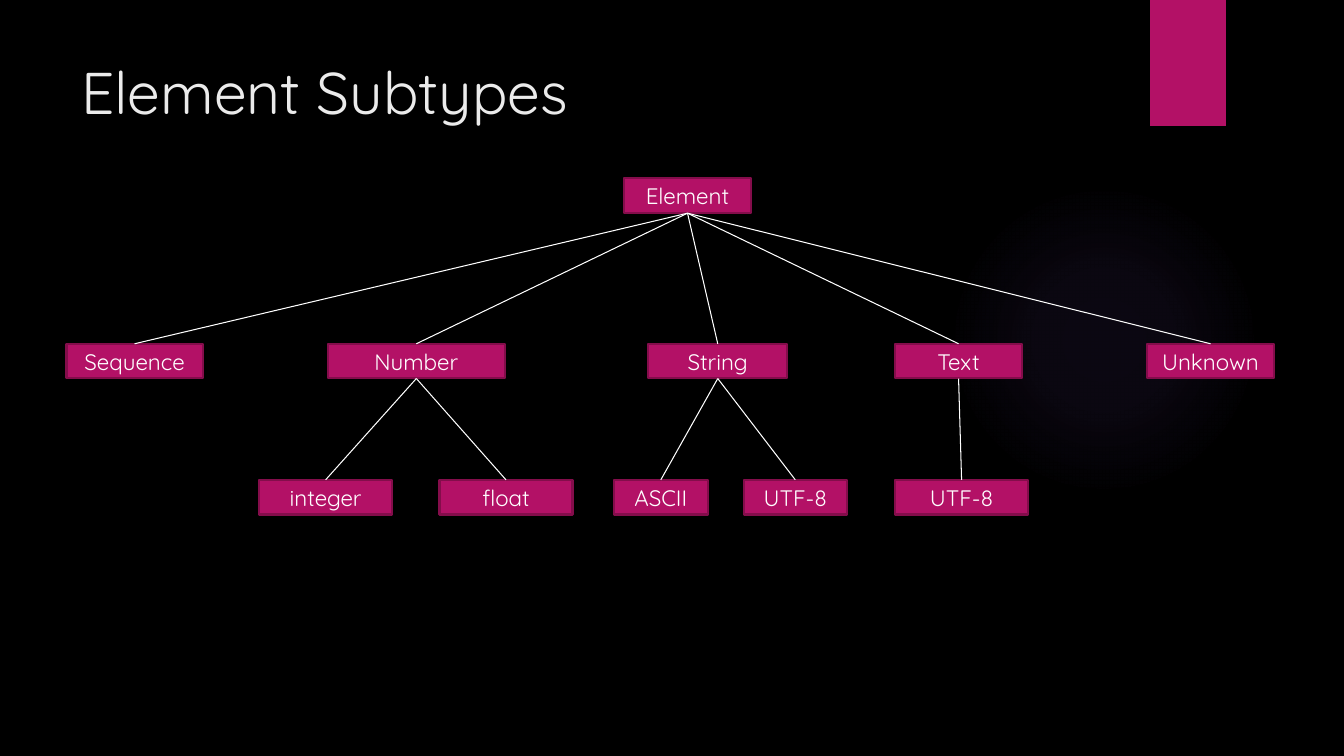
import dataclasses

import pptx
import pptx.dml.color
import pptx.enum.shapes
import pptx.enum.text
import pptx.oxml
import pptx.oxml.ns
import pptx.shapes.autoshape
import pptx.slide
import pptx.text.text
import pptx.util

SLIDE_WIDTH = pptx.util.Inches(13.333)
SLIDE_HEIGHT = pptx.util.Inches(7.5)
FONT = "Quicksand"
BLACK, WHITE, TITLE_GREY = "000000", "FFFFFF", "EBEBEB"
MAGENTA, DARK_MAGENTA, VIOLET = "B31166", "840D4B", "9B6BF2"
GLOW_STOPS = ((0, 7), (36, 6), (69, 0))
LEVEL_TOPS = (23.6, 45.47, 63.47)
NODE_HEIGHT = 4.6


@dataclasses.dataclass(frozen=True)
class Area:
    """Left, top, width and height as percentages of the slide."""

    left: float
    top: float
    width: float
    height: float

    def lengths(self) -> tuple[int, int, int, int]:
        return (
            int(SLIDE_WIDTH * self.left / 100),
            int(SLIDE_HEIGHT * self.top / 100),
            int(SLIDE_WIDTH * self.width / 100),
            int(SLIDE_HEIGHT * self.height / 100),
        )


@dataclasses.dataclass(frozen=True)
class Node:
    label: str
    left: float
    width: float
    children: tuple["Node", ...] = ()


ELEMENT_TREE = Node("Element", 46.43, 9.45, (
    Node("Sequence", 4.95, 10.13),
    Node("Number", 24.38, 13.2, (
        Node("integer", 19.28, 9.9),
        Node("float", 32.7, 9.9),
    )),
    Node("String", 48.23, 10.35, (
        Node("ASCII", 45.68, 6.98),
        Node("UTF-8", 55.35, 7.65),
    )),
    Node("Text", 66.6, 9.45, (
        Node("UTF-8", 66.6, 9.9),
    )),
    Node("Unknown", 85.35, 9.45),
))

Shape = pptx.shapes.autoshape.Shape
Link = tuple[Shape, Shape]


def color(value: str) -> pptx.dml.color.RGBColor:
    return pptx.dml.color.RGBColor.from_string(value)


def add_span(para: pptx.text.text._Paragraph, text: str, size: float, shade: str) -> None:
    span = para.add_run()
    span.text = text
    span.font.name = FONT
    span.font.size = pptx.util.Pt(size)
    span.font.color.rgb = color(shade)


def add_block(page: pptx.slide.Slide, kind: pptx.enum.shapes.MSO_SHAPE, area: Area) -> Shape:
    block = page.shapes.add_shape(kind, *area.lengths())
    block.shadow.inherit = False
    block.fill.solid()
    block.fill.fore_color.rgb = color(MAGENTA)
    block.line.fill.background()
    return block


def add_glow(page: pptx.slide.Slide, area: Area) -> None:
    glow = add_block(page, pptx.enum.shapes.MSO_SHAPE.OVAL, area)
    stops = "".join(
        f'<a:gs pos="{place * 1000}"><a:srgbClr val="{VIOLET}">'
        f'<a:alpha val="{opacity * 1000}"/></a:srgbClr></a:gs>'
        for place, opacity in GLOW_STOPS
    )
    gradient = pptx.oxml.parse_xml(
        f'<a:gradFill {pptx.oxml.ns.nsdecls("a")}><a:gsLst>{stops}</a:gsLst>'
        '<a:path path="circle"><a:fillToRect l="50000" t="50000" r="50000" b="50000"/>'
        "</a:path></a:gradFill>"
    )
    properties = glow.element.spPr
    properties.replace(properties.find(pptx.oxml.ns.qn("a:solidFill")), gradient)


def add_title(page: pptx.slide.Slide, text: str, area: Area) -> None:
    box = page.shapes.add_textbox(*area.lengths())
    box.text_frame.word_wrap = True
    add_span(box.text_frame.paragraphs[0], text, 42, TITLE_GREY)


def add_node(page: pptx.slide.Slide, node: Node, level: int, links: list[Link]) -> Shape:
    area = Area(node.left, LEVEL_TOPS[level], node.width, NODE_HEIGHT)
    box = add_block(page, pptx.enum.shapes.MSO_SHAPE.RECTANGLE, area)
    box.line.color.rgb = color(DARK_MAGENTA)
    box.line.width = pptx.util.Pt(1.5)
    box.text_frame.word_wrap = True
    box.text_frame.vertical_anchor = pptx.enum.text.MSO_ANCHOR.MIDDLE
    para = box.text_frame.paragraphs[0]
    para.alignment = pptx.enum.text.PP_ALIGN.CENTER
    add_span(para, node.label, 16, WHITE)
    for child in node.children:
        links.append((box, add_node(page, child, level + 1, links)))
    return box


def add_link(page: pptx.slide.Slide, parent: Shape, child: Shape) -> None:
    line = page.shapes.add_connector(pptx.enum.shapes.MSO_CONNECTOR.STRAIGHT, 0, 0, 0, 0)
    line.begin_connect(parent, 2)
    line.end_connect(child, 0)
    line.line.color.rgb = color(WHITE)
    line.line.width = pptx.util.Pt(0.75)
    line.element.spPr.append(
        pptx.oxml.parse_xml(f'<a:effectLst {pptx.oxml.ns.nsdecls("a")}/>')
    )


def build() -> None:
    deck = pptx.Presentation()
    deck.slide_width = SLIDE_WIDTH
    deck.slide_height = SLIDE_HEIGHT
    page = deck.slides.add_slide(deck.slide_layouts[6])
    page.background.fill.solid()
    page.background.fill.fore_color.rgb = color(BLACK)

    add_glow(page, Area(70.58, 24.4, 23.1, 41.07))
    add_block(page, pptx.enum.shapes.MSO_SHAPE.RECTANGLE, Area(85.58, 0, 5.63, 16.67))
    links: list[Link] = []
    add_node(page, ELEMENT_TREE, 0, links)
    for parent, child in links:
        add_link(page, parent, child)
    add_title(page, "Element Subtypes", Area(5.33, 6.67, 77.18, 11.2))

    deck.save("out.pptx")


build()
